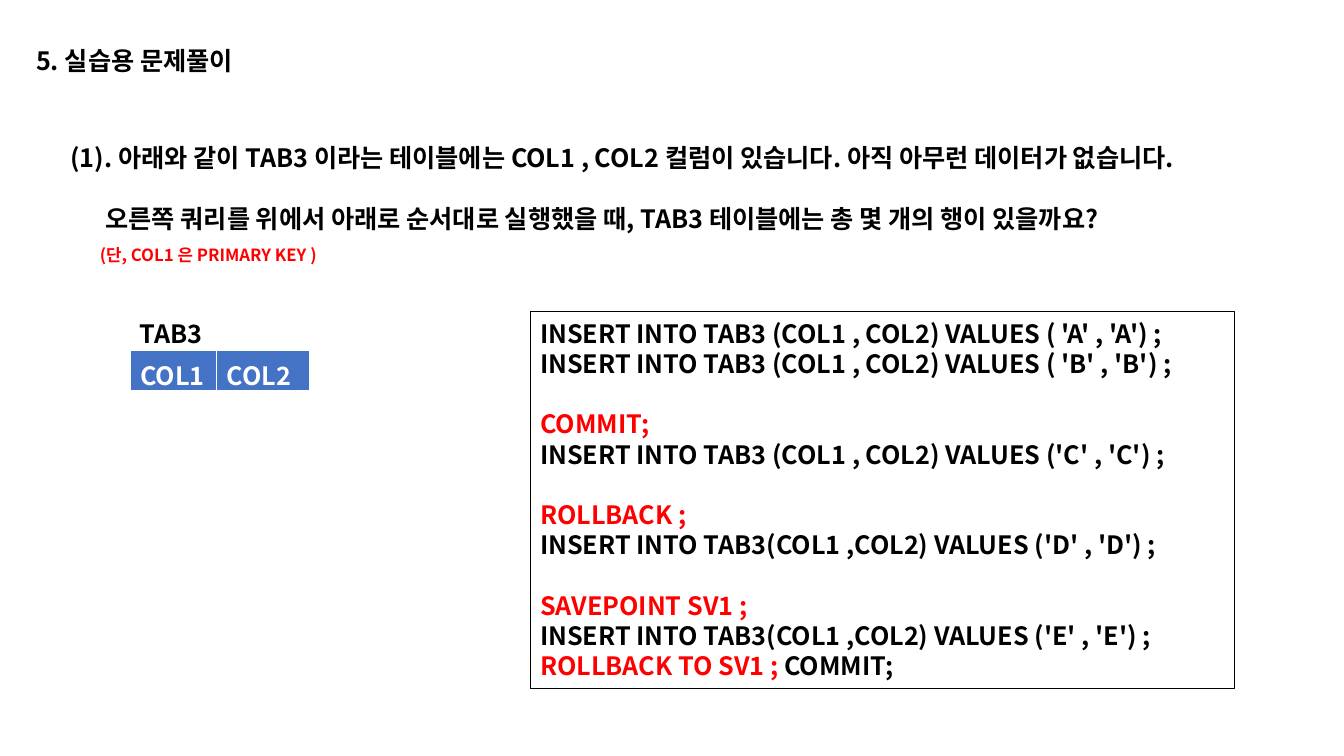
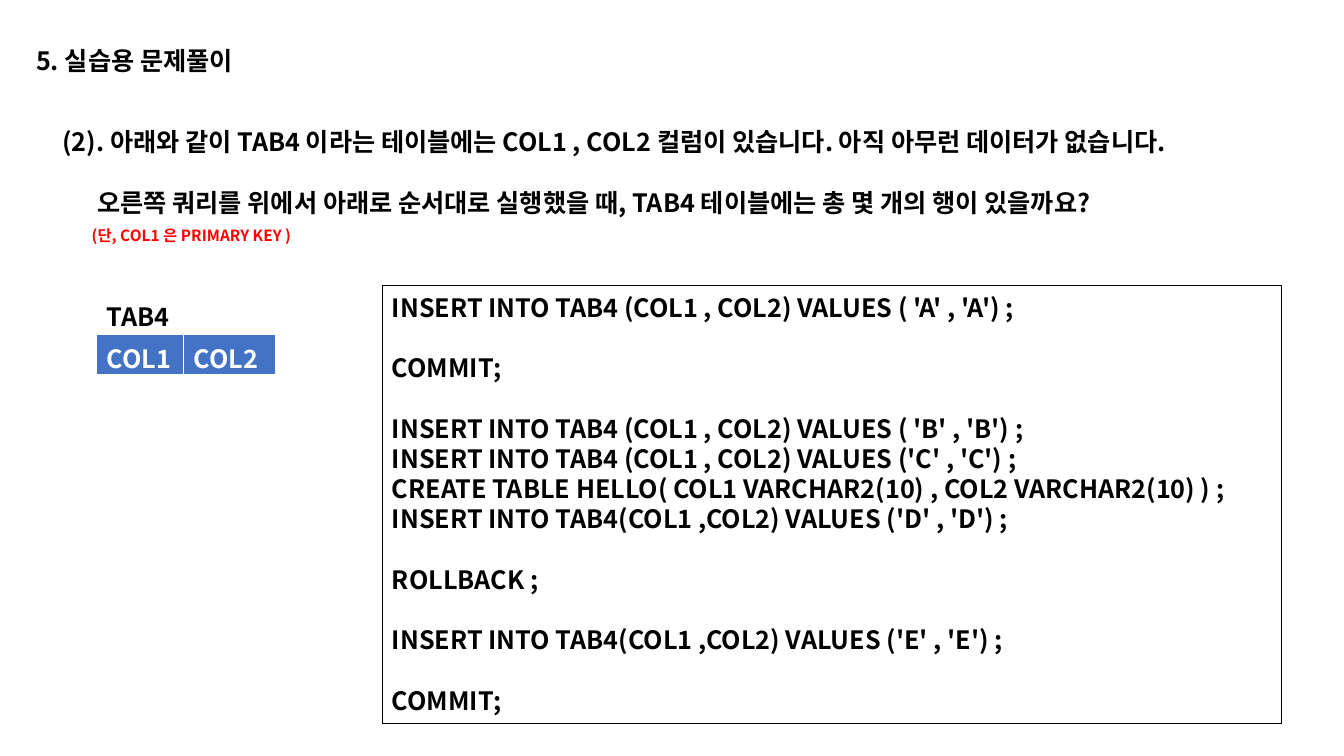
from dataclasses import dataclass

from lxml.etree import SubElement as Sub
from pptx import Presentation
from pptx.dml.color import RGBColor as Rgb
from pptx.enum.shapes import MSO_SHAPE as Shape
from pptx.enum.text import MSO_ANCHOR as Anchor, PP_ALIGN as Align
from pptx.oxml.ns import qn
from pptx.util import Pt

# Shared style
BLACK = Rgb(0x00, 0x00, 0x00)
WHITE = Rgb(0xFF, 0xFF, 0xFF)
RED = Rgb(0xFF, 0x00, 0x00)
BLUE = Rgb(0x44, 0x72, 0xC4)
FONT = "Noto Sans CJK KR"
SIZE = 18
LINE = 21.6  # line pitch of body text
COLS = (("COL1", 62), ("COL2", 66))
ROW = 29.5


@dataclass
class Run:
    text: str
    color: Rgb = BLACK
    size: float = SIZE


@dataclass
class Para:
    runs: list[Run]
    gap: float = 0
    indent: float = 0
    pitch: float | None = LINE


@dataclass
class Box:
    left: float
    top: float
    width: float
    height: float


@dataclass
class Quiz:
    num: int
    tab: str
    ask: Box
    hint: float  # text size of the hint
    pitch: float  # line pitch of the hint
    grid: tuple[float, float]
    label: float  # top of the table name
    code: Box
    lines: list[Para]


# Text
def add_run(para, run: Run) -> None:
    r = para.add_run()
    r.text = run.text
    font = r.font
    font.name, font.size, font.bold = FONT, Pt(run.size), True
    font.color.rgb = run.color
    Sub(font._element, qn("a:ea")).set("typeface", FONT)


def fill_text(frame, paras: list[Para]) -> None:
    for i, item in enumerate(paras):
        para = frame.add_paragraph() if i else frame.paragraphs[0]
        para.alignment = Align.LEFT
        para.space_before = Pt(item.gap)
        if item.pitch:
            para.line_spacing = Pt(item.pitch)
        if item.indent:
            props = para._p.get_or_add_pPr()
            props.set("marL", str(Pt(item.indent)))
            props.set("indent", "0")
        for run in item.runs:
            add_run(para, run)


def add_text(slide, box: Box, paras: list[Para], frame: bool = False,
             anchor: Anchor = Anchor.TOP) -> None:
    place = Pt(box.left), Pt(box.top), Pt(box.width), Pt(box.height)
    if frame:
        shape = slide.shapes.add_shape(Shape.RECTANGLE, *place)
        shape.shadow.inherit = False
        shape.fill.background()
        shape.line.color.rgb = BLACK
        shape.line.width = Pt(0.25)
    else:
        shape = slide.shapes.add_textbox(*place)
    body = shape.text_frame
    body.word_wrap = True
    body.vertical_anchor = anchor
    if anchor == Anchor.TOP:
        body.margin_top = Pt(4.7)
    fill_text(body, paras)


# Table
def add_edges(cell) -> None:
    props = cell._tc.get_or_add_tcPr()
    for i, (side, width) in enumerate((("L", 1), ("R", 1), ("T", 1), ("B", 3))):
        edge = props.makeelement(qn(f"a:ln{side}"), {"w": str(Pt(width))})
        fill = Sub(edge, qn("a:solidFill"))
        Sub(fill, qn("a:srgbClr")).set("val", str(WHITE))
        props.insert(i, edge)


def add_grid(slide, left: float, top: float) -> None:
    width = sum(w for _, w in COLS)
    table = slide.shapes.add_table(
        1, len(COLS), Pt(left), Pt(top), Pt(width), Pt(ROW)).table
    table.rows[0].height = Pt(ROW)
    for i, (name, w) in enumerate(COLS):
        table.columns[i].width = Pt(w)
        cell = table.cell(0, i)
        cell.fill.solid()
        cell.fill.fore_color.rgb = BLUE
        add_edges(cell)
        fill_text(cell.text_frame, [Para([Run(name, WHITE)], pitch=None)])


# Slide
def add_quiz(deck, quiz: Quiz) -> None:
    slide = deck.slides.add_slide(deck.slide_layouts[6])
    add_text(slide, Box(18.7, 30.2, 276.5, 25.2),
             [Para([Run("5. 실습용 문제풀이")])], anchor=Anchor.MIDDLE)
    left, top = quiz.grid
    add_grid(slide, left, top)
    add_text(slide, quiz.code, quiz.lines, frame=True)
    add_text(slide, Box(left, quiz.label, 69, 29), [Para([Run(quiz.tab)])])
    add_text(slide, quiz.ask, [
        Para([Run(f"({quiz.num}). 아래와 같이 {quiz.tab} 이라는 테이블에는 "
                  "COL1 , COL2 컬럼이 있습니다. 아직 아무런 데이터가 없습니다.")]),
        Para([Run("오른쪽 쿼리를 위에서 아래로 순서대로 실행했을 때, "
                  f"{quiz.tab} 테이블에는 총 몇 개의 행이 있을까요?")],
             gap=LINE, indent=25),
        Para([Run("(단, COL1 은 PRIMARY KEY )", RED, quiz.hint)],
             indent=21, pitch=quiz.pitch),
    ])


# Queries
def say(text: str, gap: float = 0, color: Rgb = BLACK) -> Para:
    return Para([Run(text, color)], gap)


def put(head: str, vals: str, gap: float = 0) -> Para:
    return say(f"INSERT INTO {head} VALUES {vals} ;", gap)


WIDE3, WIDE4 = "TAB3 (COL1 , COL2)", "TAB4 (COL1 , COL2)"
TIGHT3, TIGHT4 = "TAB3(COL1 ,COL2)", "TAB4(COL1 ,COL2)"

QUIZZES = [
    Quiz(1, "TAB3", Box(43.2, 97.2, 874, 97), 12, 22.6, (92.9, 250.6), 222.5,
         Box(378.7, 222.5, 502.6, 269.3), [
             put(WIDE3, "( 'A' , 'A')"),
             put(WIDE3, "( 'B' , 'B')"),
             say("COMMIT;", LINE, RED),
             put(WIDE3, "('C' , 'C')"),
             say("ROLLBACK ;", LINE, RED),
             put(TIGHT3, "('D' , 'D')"),
             say("SAVEPOINT SV1 ;", LINE, RED),
             put(TIGHT3, "('E' , 'E')"),
             Para([Run("ROLLBACK TO SV1 ;", RED), Run(" COMMIT;")]),
         ]),
    Quiz(2, "TAB4", Box(37.4, 85.7, 885, 94.3), 11, 19.8, (69.1, 239), 210.2,
         Box(272.9, 203.8, 642.2, 312.5), [
             put(WIDE4, "( 'A' , 'A')"),
             say("COMMIT;", LINE),
             put(WIDE4, "( 'B' , 'B')", LINE),
             put(WIDE4, "('C' , 'C')"),
             say("CREATE TABLE HELLO( COL1 VARCHAR2(10) , "
                 "COL2 VARCHAR2(10) ) ;"),
             put(TIGHT4, "('D' , 'D')"),
             say("ROLLBACK ;", LINE),
             put(TIGHT4, "('E' , 'E')", LINE),
             say("COMMIT;", LINE),
         ]),
]


def main() -> None:
    deck = Presentation()
    deck.slide_width, deck.slide_height = Pt(960), Pt(540)
    for quiz in QUIZZES:
        add_quiz(deck, quiz)
    deck.save("out.pptx")


if __name__ == "__main__":
    main()
